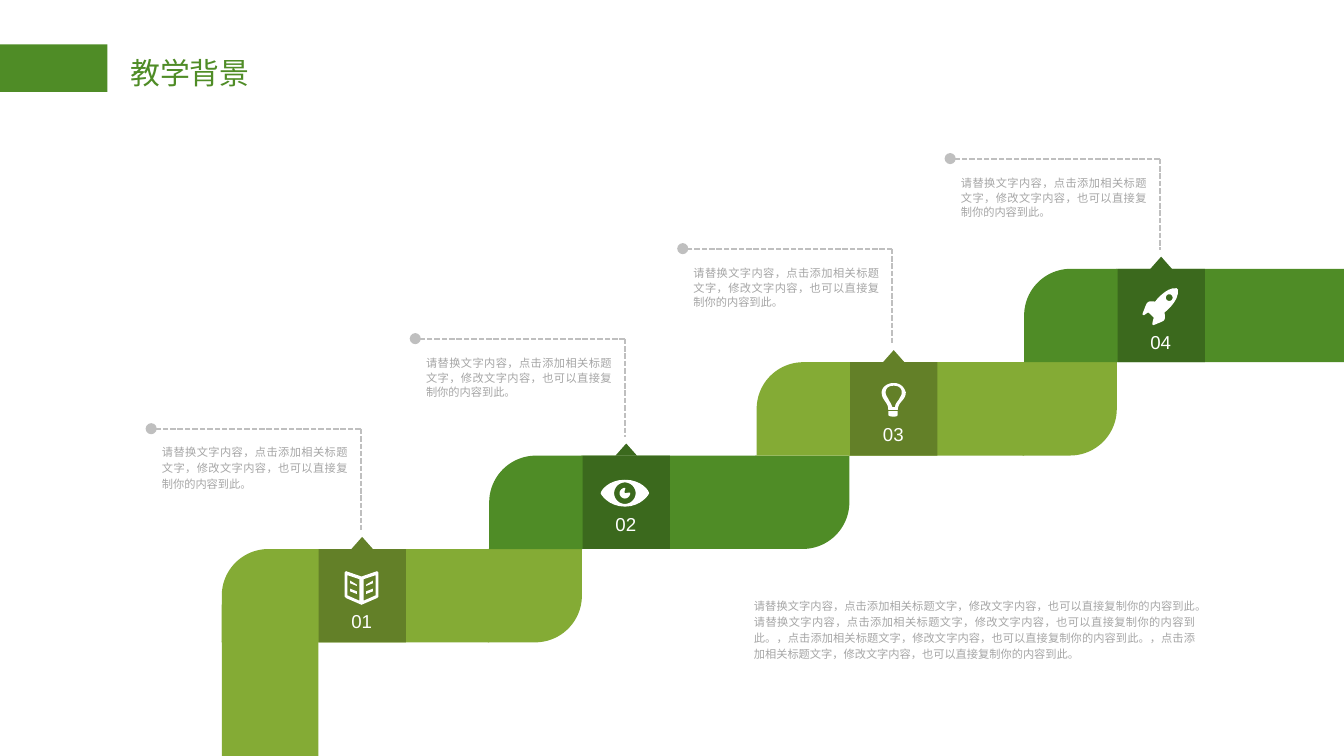
from math import cos, sin, tau
from lxml.etree import SubElement as Sub
from pptx import Presentation
from pptx.dml.color import RGBColor
from pptx.enum.dml import MSO_LINE as Dash
from pptx.enum.shapes import MSO_CONNECTOR as Link, MSO_SHAPE as Geo
from pptx.enum.text import MSO_ANCHOR as Anchor, MSO_AUTO_SIZE as Auto, PP_ALIGN as Align
from pptx.oxml.ns import qn
from pptx.util import Inches, Pt

GREEN = RGBColor(0x4F, 0x8C, 0x26)
LIME = RGBColor(0x84, 0xAB, 0x35)
DEEP = RGBColor(0x3B, 0x69, 0x1D)
OLIVE = RGBColor(0x63, 0x80, 0x28)
RULE = RGBColor(0xBF, 0xBF, 0xBF)
GREY = RGBColor(0xA6, 0xA6, 0xA6)
WHITE = RGBColor(0xFF, 0xFF, 0xFF)

# Grid: 100 columns across the slide, square cells
COLS, ROWS = 100, 56.25
CELL = Inches(10) / COLS
LAP = 0.1  # overlap that hides the seams of a ribbon

NOTE = "请替换文字内容，点击添加相关标题文字，修改文字内容，也可以直接复制你的内容到此。"
MORE = "，" + NOTE[NOTE.index("点击"):]


def ring(x, y, r):
    return [(x + r * cos(tau * k / 32), y + r * sin(tau * k / 32)) for k in range(32)]


def mirror(pts, axis):
    return [(2 * axis - x, y) for x, y in pts]


# Icon outlines in tenths of a cell: pairs are corners, sixes are Bezier curves
PAGE = [[(2, 3), (11, 6), (11, 22), (2, 18)],
        [(4, 13), (9, 15), (9, 17), (4, 15)],
        [(4, 7), (9, 10), (9, 11), (4, 9)]]
BOOK = [[(1, 0), (12.5, 4), (24, 0), (25, 1), (25, 19), (24, 20), (12.5, 25),
         (1, 20), (0, 19), (0, 1)], *PAGE, *[mirror(p, 12.5) for p in PAGE]]
EYE = [[(18, 0), (6, 0, 0, 8, 0, 10), (0, 11, 6, 20, 18, 20),
        (30, 20, 36, 11, 36, 10), (36, 8, 30, 0, 18, 0)],
       ring(18, 10, 8),
       [(18, 10), (17, 9, 19, 6, 18, 6), (16, 6, 14, 8, 14, 10),
        (14, 12, 16, 14, 18, 14), (20, 14, 22, 12, 22, 10), (22, 9, 19, 10, 18, 10)]]
BULB = [[(5, 24), (6, 25, 8, 25, 9, 25), (10, 25, 11, 25, 12, 24), (12, 21), (5, 21)],
        [(12, 20), (12, 14, 18, 13, 18, 7), (17, 4, 15, 0, 9, 0),
         (3, 0, 0, 4, 0, 7), (0, 13, 5, 14, 5, 20)],
        [(3, 7), (3, 4, 5, 2, 9, 2), (13, 2, 15, 4, 15, 7), (15, 9, 14, 10, 13, 12),
         (12, 14, 10, 15, 10, 18), (8, 18), (7, 15, 6, 14, 5, 12), (4, 10, 3, 9, 3, 7)]]
ROCKET = [[(17, 19), (17, 19, 28, 11, 27, 2), (26, 1), (18, 0, 10, 11, 10, 11),
           (3, 10, 4, 12, 1, 19), (0, 21, 1, 21, 2, 21), (3, 20, 5, 19, 5, 19),
           (9, 23), (9, 23, 8, 26, 8, 27), (8, 28, 8, 29, 10, 28),
           (17, 25, 18, 26, 17, 19)],
          ring(20.5, 8, 2.5)]


def emu(*nums):
    return [round(n * CELL) for n in nums]


def paint(shape, hue):
    shape.shadow.inherit = False
    shape.fill.solid()
    shape.fill.fore_color.rgb = hue
    shape.line.fill.background()


def block(page, box, hue, geo=Geo.RECTANGLE, flip=None):
    shape = page.shapes.add_shape(geo, *emu(*box))
    paint(shape, hue)
    if flip:
        shape.adjustments[0] = 0.5
        shape.element.spPr.get_or_add_xfrm().set(flip, "1")


def write(page, box, words, hue, size, face="Arial", gap=1.0, pad=(0.8, 0.4),
          align=Align.JUSTIFY, **form):
    frame = page.shapes.add_textbox(*emu(*box)).text_frame
    side, edge = emu(*pad)
    form = {"word_wrap": True, "auto_size": Auto.NONE, "margin_left": side,
            "margin_right": side, "margin_top": edge, "margin_bottom": edge, **form}
    for key, val in form.items():
        setattr(frame, key, val)
    para = frame.paragraphs[0]
    para.text = words
    para.alignment, para.line_spacing = align, gap
    for key, val in {"name": face, "size": Pt(size)}.items():
        setattr(para.font, key, val)
    para.font.color.rgb = hue


def rule(page, start, end, dot=False):
    line = page.shapes.add_connector(Link.STRAIGHT, *emu(*start, *end))
    for key, val in {"width": Pt(1), "dash_style": Dash.SQUARE_DOT}.items():
        setattr(line.line, key, val)
    line.line.color.rgb = RULE
    if dot:
        Sub(line.element.spPr.find(qn("a:ln")), qn("a:tailEnd"), type="oval")
    Sub(line.element.spPr, qn("a:effectLst"))


def trace(outline):
    pts = [outline[0]]
    for node in outline[1:]:
        if len(node) == 2:
            pts.append(node)
            continue
        ends = [pts[-1], node[:2], node[2:4], node[4:]]
        for t in (k / 8 for k in range(1, 9)):
            mix = (1 - t) ** 3, 3 * t * (1 - t) ** 2, 3 * t * t * (1 - t), t ** 3
            pts.append(tuple(sum(m * e[a] for m, e in zip(mix, ends)) for a in (0, 1)))
    return pts


def icon(page, left, top, paths):
    pen = None
    for path in paths:
        pts = [emu(left + x / 10, top + y / 10) for x, y in trace(path)]
        if pen is None:
            pen = page.shapes.build_freeform(*pts[0])
        else:
            pen.move_to(*pts[0])
        pen.add_line_segments(pts[1:], close=True)
    paint(pen.convert_to_shape(), WHITE)


def header(page, box):
    x, y, w, h = box
    block(page, (x, y, 8, h), GREEN)
    write(page, (x + 8.9, y + 0.4, w - 8.9, 3.5), "教学背景", GREEN, 16, "Calibri",
          align=Align.LEFT, word_wrap=False, auto_size=Auto.SHAPE_TO_FIT_TEXT)


def ribbon(page, box, neck, hue, first, last):
    x, y, w, h = box
    block(page, (x, y, neck, h), hue, Geo.ROUND_1_RECTANGLE, "flipH")
    if first:
        block(page, (x, y + h - LAP, neck, ROWS - y - h + LAP), hue)
    tail = COLS if last else x + w - 7
    start, stop = x + neck - LAP, tail if last else tail + LAP
    block(page, (start, y, stop - start, h), hue)
    if not last:
        block(page, (tail, y, 7, h), hue, Geo.ROUND_1_RECTANGLE, "flipV")


def callout(page, box, foot, gap):
    x, y, w, h = box
    rule(page, (x + w, y), (x, y), dot=True)
    rule(page, (x + w, y), (x + w, foot))
    write(page, (x, y + 0.7, 15.4, h), NOTE, GREY, 6, gap=gap,
          vertical_anchor=Anchor.MIDDLE)


def tag(page, box, hue, label, drop, art, shift):
    x, y, w, h = box
    mid = x + w / 2
    block(page, box, hue)
    block(page, (mid - 0.8, y - 0.9, 1.6, 0.9), hue, Geo.ISOSCELES_TRIANGLE)
    icon(page, mid + shift[0], y + shift[1], art)
    write(page, (mid - 0.8, y + drop, 1.7, 2), label, WHITE, 10, gap=1.2, pad=(0, 0),
          word_wrap=False)


def stairs(page, box):
    x, y, w, h = box
    arts = [(BOOK, (-1.3, 1.65), 4.2), (EYE, (-1.9, 1.8), 3.9),
            (BULB, (-0.9, 1.55), 4.15), (ROCKET, (-1.45, 1.35), 4.3)]
    for n, (art, shift, drop) in enumerate(arts):
        first, last = n == 0, n == len(arts) - 1
        left, top = x + 19.9 * n, y - 6.95 * n
        neck = 7.2 if first else 6.95
        mid = left + neck + 3.25
        base, dark = (GREEN, DEEP) if n % 2 else (LIME, OLIVE)
        ribbon(page, (left, top, w, h), neck, base, first, last)
        callout(page, (mid - 15.7, 31.9 - 6.7 * n, 15.6, 4.3), top - 1.4,
                1.2 if first else 1.1)
        tag(page, (mid - 3.25, top, 6.5, h), dark, f"{n + 1:02}", drop, art, shift)


def main():
    deck = Presentation()
    deck.slide_width, deck.slide_height = emu(COLS, ROWS)
    page = deck.slides.add_slide(deck.slide_layouts[6])
    header(page, (0, 3.3, 19.4, 3.55))
    stairs(page, (16.5, 40.85, 26.8, 6.95))
    # Summary
    write(page, (55.3, 44, 34.4, 5.4), NOTE * 2 + MORE * 2, GREY, 6, gap=1.2)
    deck.save("out.pptx")


if __name__ == "__main__":
    main()
